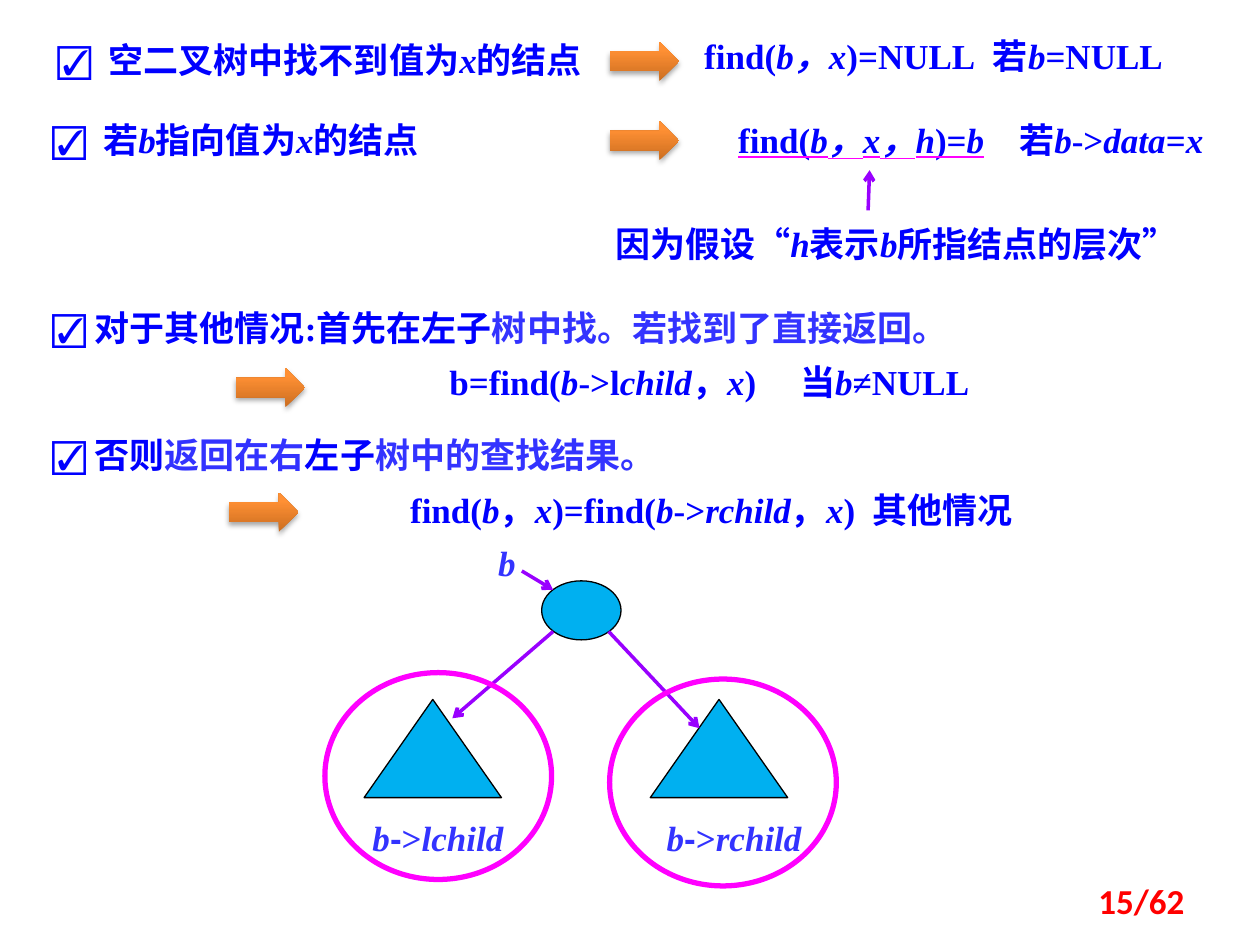
"""Build the slide on recursive search in a binary tree."""
from dataclasses import dataclass

from lxml import etree
from pptx import Presentation
from pptx import util as u
from pptx.dml.color import RGBColor
from pptx.enum import shapes, text
from pptx.oxml import parse_xml
from pptx.oxml.ns import nsdecls, qn

LEFT, CENTER, RIGHT = text.PP_ALIGN.LEFT, text.PP_ALIGN.CENTER, text.PP_ALIGN.RIGHT
OVAL, TRIANGLE = shapes.MSO_SHAPE.OVAL, shapes.MSO_SHAPE.ISOSCELES_TRIANGLE


@dataclass(frozen=True)
class Theme:
    """Colours, fonts and sizes of the slide."""
    blue: str = "0000FF"
    soft: str = "3333FF"
    node: str = "00B0F0"
    ring: str = "FF00FF"
    link: str = "9900FF"
    page: str = "FF0000"
    outline: str = "000000"
    block: tuple = ((0, "CC6E20"), (80, "FF9034"), (100, "FF9136"))
    latin: str = "Times New Roman"
    dash: str = "Arial"
    footer: str = "Calibri"
    asian: str = "Noto Sans CJK SC"
    size: int = 20


class Board:
    """Draws styled elements on the current slide or group."""

    def __init__(self, slide, theme):
        self.slide, self.theme = slide, theme
        self.target = slide.shapes

    def group(self):
        """Send the next elements to a new group."""
        self.target = self.slide.shapes.add_group_shape().shapes

    def ungroup(self):
        """Send the next elements to the slide."""
        self.target = self.slide.shapes

    def text(self, at, markup, align=CENTER, color=None, font=None, gap=0,
             inset=None, indent=0, spacing=None, grow=True):
        """Add text: * italic, | soft colour, @ dash font, _ underline, ~ wide space."""
        t = self.theme
        tf = self.target.add_textbox(*map(u.Cm, at)).text_frame
        tf.word_wrap = True
        if grow:
            tf.auto_size = text.MSO_AUTO_SIZE.SHAPE_TO_FIT_TEXT
        else:
            tf.vertical_anchor = text.MSO_ANCHOR.MIDDLE
        if inset is not None:
            tf.margin_left = tf.margin_right = u.Cm(inset)
            tf.margin_top = tf.margin_bottom = u.Cm(inset)
        if indent:
            tf.margin_left = u.Cm(indent)
        p = tf.paragraphs[0]
        p.alignment = align
        if spacing:
            p.line_spacing = u.Pt(spacing)
        p.font.size, p.font.bold, p.font.name = u.Pt(t.size), True, font or t.latin
        on = dict.fromkeys("*|@_", False)
        chunk = ""
        for mark in markup + "*":
            if mark not in on and mark != "~":
                chunk += mark
                continue
            if chunk:
                self.run(p, chunk, on, color or t.blue)
            chunk = ""
            if mark == "~":
                r = self.run(p, " ", on, color or t.blue)
                r.font._element.set("spc", str(gap * 100))
            else:
                on[mark] = not on[mark]

    def run(self, p, words, on, color):
        """Add one run in the styles that are switched on."""
        t = self.theme
        r = p.add_run()
        r.text = words
        r.font.color.rgb = RGBColor.from_string(t.soft if on["|"] else color)
        if on["*"]:
            r.font.italic = True
        rpr = r.font._element
        if on["_"]:
            r.font.underline = True
            rpr.append(parse_xml(
                f'<a:uFill {nsdecls("a")}><a:solidFill><a:srgbClr val="{t.ring}"/>'
                '</a:solidFill></a:uFill>'))
        if on["@"]:
            r.font.name = t.dash
        else:
            etree.SubElement(rpr, qn("a:ea"), typeface=t.asian)
        return r

    def shape(self, kind, at, fill, line, width):
        """Add a preset shape with an optional fill."""
        sp = self.target.add_shape(kind, *map(u.Cm, at))
        sp.shadow.inherit = False
        if fill:
            sp.fill.solid()
            sp.fill.fore_color.rgb = RGBColor.from_string(fill)
        else:
            sp.fill.background()
        sp.line.color.rgb = RGBColor.from_string(line)
        sp.line.width = u.Pt(width)

    def node(self, kind, at):
        """Add a filled tree node."""
        self.shape(kind, at, self.theme.node, self.theme.outline, 0.75)

    def ring(self, at):
        """Add an open ring around a subtree."""
        self.shape(OVAL, at, None, self.theme.ring, 3)

    def block_arrow(self, x, y):
        """Add a shaded block arrow."""
        sp = self.target.add_shape(shapes.MSO_SHAPE.RIGHT_ARROW,
                                   *map(u.Cm, (x, y, 1.4, 0.79)))
        sp.fill.gradient()
        sp.fill.gradient_angle = 90
        sp.line.fill.background()
        sp.shadow.inherit = False
        props = sp._element.spPr
        stops = props.find(".//" + qn("a:gsLst"))
        for stop in list(stops):
            stops.remove(stop)
        for place, color in self.theme.block:
            stop = etree.SubElement(stops, qn("a:gs"), pos=str(place * 1000))
            etree.SubElement(stop, qn("a:srgbClr"), val=color)
        props.find(qn("a:effectLst")).append(parse_xml(
            f'<a:outerShdw {nsdecls("a")} blurRad="{u.Pt(3.1)}" dist="{u.Pt(1.8)}" '
            'dir="5400000" rotWithShape="0"><a:srgbClr val="000000">'
            '<a:alpha val="35000"/></a:srgbClr></a:outerShdw>'))

    def link(self, *ends):
        """Add a thin arrow between two points."""
        line = self.target.add_connector(shapes.MSO_CONNECTOR.STRAIGHT, *map(u.Cm, ends))
        line.line.color.rgb = RGBColor.from_string(self.theme.link)
        line.line.width = u.Pt(2)
        etree.SubElement(line.line._get_or_add_ln(), qn("a:tailEnd"), type="arrow")
        etree.SubElement(line._element.spPr, qn("a:effectLst"))


def main():
    """Build and save the slide."""
    theme = Theme()
    prs = Presentation()
    prs.slide_width, prs.slide_height = u.Cm(25.4), u.Cm(19.05)
    s = Board(prs.slides.add_slide(prs.slide_layouts[6]), theme)

    s.text((0.79, 5.77, 23.22, 1.27), "☑ 对于其他情况:首先在左子|树中找。若找到了直接返回。",
           align=LEFT, spacing=32)

    s.group()
    s.node(OVAL, (10.92, 11.71, 1.6, 1.19))
    for x in (7.34, 13.11):
        s.node(TRIANGLE, (x, 14.1, 2.77, 1.98))
    for ends in ((11.15, 12.73, 9.12, 14.48), (12.27, 12.73, 14.1, 14.68),
                 (10.52, 11.51, 11.15, 11.89)):
        s.link(*ends)
    for x, y, width, label in ((9.93, 10.92, 0.58, "*b*"),
                               (7.14, 16.46, 3.38, "*b*@-@>*lchild*"),
                               (13.11, 16.46, 3.38, "*b*@-@>*rchild*")):
        s.text((x, y, width, 0.86), label, color=theme.soft, inset=0)
    s.ungroup()
    for x, y in ((6.55, 13.56), (12.29, 13.69)):
        s.ring((x, y, 4.57, 4.17))

    s.text((0.79, 0.66, 11.3, 1.12), "☑~空二叉树中找不到值为*x*的结点", gap=5)
    s.text((13.56, 0.58, 10.52, 1.12), "find(*b，x*)=NULL~若*b*=NULL", gap=5)
    s.text((0.79, 2.26, 11.3, 1.12), "☑~若*b*指向值为*x*的结点", align=LEFT, gap=5)

    s.group()
    s.text((13.51, 2.26, 12.12, 1.12),
           "_find(*b，x，h*)=*b*_~若*b*->*data*=*x*", gap=15)
    s.link(17.5, 4.24, 17.53, 3.43)
    s.text((12.12, 4.37, 11.91, 1.12), "因为假设“*h*表示*b*所指结点的层次”")
    s.ungroup()

    s.text((0.79, 8.61, 14.88, 1.12), "☑ 否则|返回在右|左子|树中的查找结果。", align=LEFT)
    s.text((5.56, 7.14, 17.48, 1.12), "b=find(*b*->l*child*，*x*)~当*b*≠NULL", gap=20)
    s.text((5.16, 9.73, 17.48, 1.12),
           "find(*b*，*x*)=find(*b*->*rchild*，*x*)~其他情况", gap=5, indent=1.14)
    for x, y in ((12.29, 0.84), (12.29, 2.44), (4.75, 7.42), (4.62, 9.93)):
        s.block_arrow(x, y)
    s.text((18.21, 17.65, 5.92, 1.02), "15/62", align=RIGHT, color=theme.page,
           font=theme.footer, grow=False)
    prs.save("out.pptx")


main()
